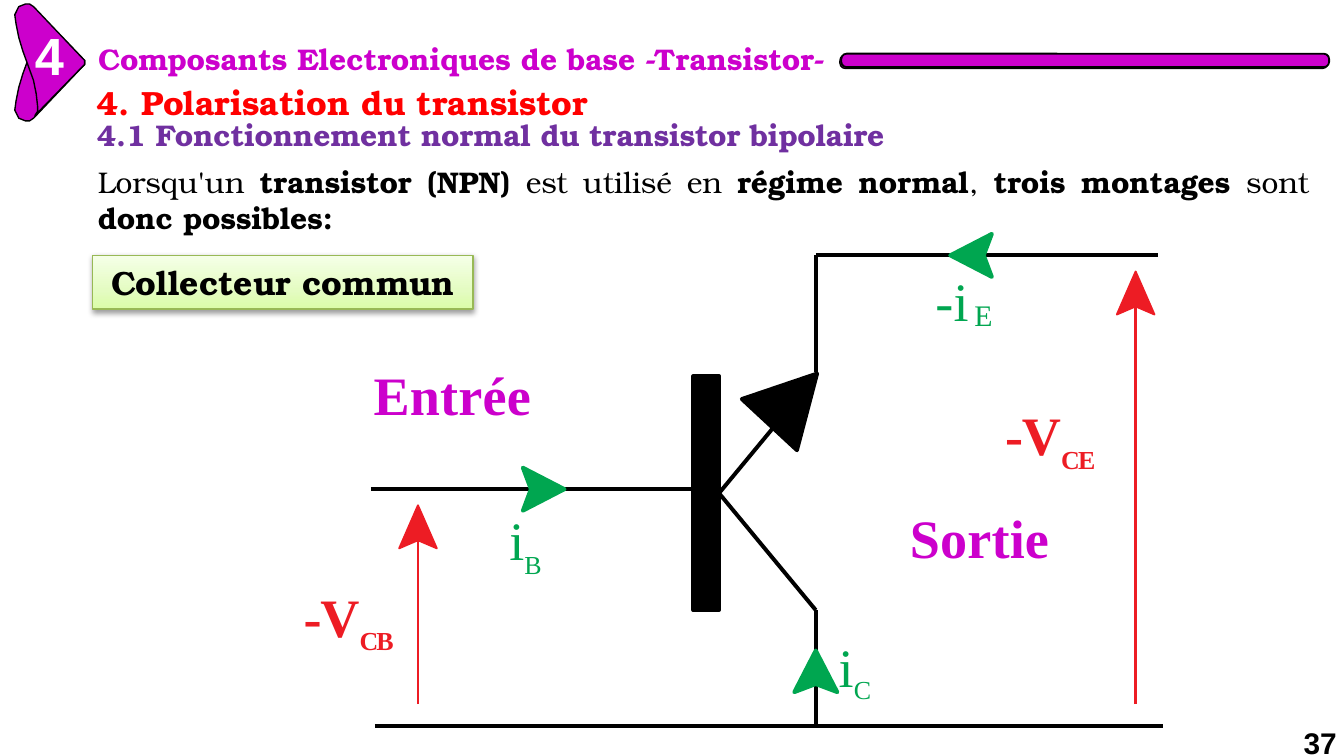
from copy import deepcopy

from lxml import etree
from pptx import Presentation
from pptx.dml.color import RGBColor
from pptx.enum.shapes import MSO_CONNECTOR, MSO_SHAPE
from pptx.enum.text import MSO_ANCHOR, PP_ALIGN
from pptx.oxml.ns import qn
from pptx.util import Inches, Pt

COLORS = {
    "magenta": "CC00CC", "red": "FF0000", "purple": "7030A0", "black": "000000",
    "white": "FFFFFF", "voltage": "ED1C24", "current": "00A650", "border": "98B955",
}
COLORS = {name: RGBColor.from_string(value) for name, value in COLORS.items()}
BONUM, TIMES, ARIAL = "TeX Gyre Bonum", "Times New Roman", "Arial"
WIRE = 2.12

presentation = Presentation()
presentation.slide_width = Inches(10)
presentation.slide_height = Inches(10) * 9 // 16
slide = presentation.slides.add_slide(presentation.slide_layouts[6])
shapes = slide.shapes


def paint(shape, fill, line, width):
    shape.shadow.inherit = False
    shape.fill.solid()
    shape.fill.fore_color.rgb = COLORS[fill]
    shape.line.color.rgb = COLORS[line]
    shape.line.width = Pt(width)


def write(frame, runs, font, color, insets=(0, 0.02), wrap=False):
    """Each run is (text, size, bold, spacing in points, baseline in percent)."""
    frame.word_wrap = wrap
    frame.vertical_anchor = MSO_ANCHOR.TOP
    frame.margin_left = frame.margin_right = Inches(insets[0])
    frame.margin_top = frame.margin_bottom = Inches(insets[1])
    paragraph = frame.paragraphs[0]
    for text, size, bold, spacing, baseline in runs:
        run = paragraph.add_run()
        run.text = text
        run.font.name, run.font.size, run.font.bold = font, Pt(size), bold
        run.font.color.rgb = COLORS[color]
        properties = run.font._element
        properties.set("spc", str(round(spacing * 100)))
        if baseline:
            properties.set("baseline", str(baseline * 1000))
    return paragraph


# Filled outlines as (points, fill, line, line width)
# Chapter marker: a folded ribbon, the back half mirrors the front half
front = [
    (0.19, 0.03), (0.14, 0.05), (0.11, 0.11), (0.12, 0.18), (0.14, 0.28),
    (0.17, 0.38), (0.21, 0.49), (0.25, 0.6), (0.27, 0.7), (0.28, 0.79),
    (0.28, 0.83), (0.26, 0.86), (0.62, 0.49), (0.63, 0.48), (0.63, 0.45),
    (0.62, 0.44), (0.25, 0.05), (0.22, 0.03),
]
back = [(x, 0.93 - y) for x, y in front]
outlines = [(back, "magenta", "black", 0.75), (front, "magenta", "black", 0.75)]

# Emitter triangle
outlines.append(([(6.08, 2.78), (5.52, 2.97), (5.93, 3.35)], "black", "black", WIRE))

# Barbed arrowheads: tip, pointing direction, length, half width, colour, line width
arrowheads = [
    (3.11, 3.76, 0, -1, 0.32, 0.14, "voltage", 1),
    (8.45, 2.02, 0, -1, 0.32, 0.14, "voltage", 1),
    (4.2, 3.64, 1, 0, 0.31, 0.16, "current", WIRE),
    (7.07, 1.9, -1, 0, 0.31, 0.16, "current", WIRE),
    (6.07, 4.84, 0, -1, 0.31, 0.16, "current", WIRE),
]
for x, y, dx, dy, length, half, color, width in arrowheads:
    offsets = [(0, 0), (length, half), (length - 0.06, 0), (length, -half)]
    points = [(x - dx * along - dy * side, y - dy * along + dx * side)
              for along, side in offsets]
    outlines.append((points, color, color, width))

# Wires and voltage shafts
wires = [
    (2.76, 3.64, 5.17, 3.64, "black", WIRE),    # base
    (6.07, 2.77, 6.07, 1.9, "black", WIRE),     # emitter
    (6.07, 1.9, 8.62, 1.9, "black", WIRE),
    (5.35, 3.67, 6.07, 2.8, "black", WIRE),
    (5.35, 3.67, 6.07, 4.54, "black", WIRE),    # collector
    (6.07, 4.54, 6.07, 5.4, "black", WIRE),
    (2.79, 5.4, 8.65, 5.4, "black", WIRE),      # common line
    (3.11, 5.24, 3.11, 3.77, "voltage", 1.25),
    (8.45, 5.24, 8.45, 2.03, "voltage", 1.25),
]
for x1, y1, x2, y2, color, width in wires:
    wire = shapes.add_connector(MSO_CONNECTOR.STRAIGHT, *map(Inches, (x1, y1, x2, y2)))
    wire.line.color.rgb = COLORS[color]
    wire.line.width = Pt(width)
    etree.SubElement(wire._element.spPr, qn("a:effectLst"))

# Transistor base plate
plate = shapes.add_shape(MSO_SHAPE.RECTANGLE, Inches(5.16), Inches(2.8), Inches(0.19), Inches(1.74))
paint(plate, "black", "black", WIRE)

for points, fill, line, width in outlines:
    corners = [(Inches(x), Inches(y)) for x, y in points]
    builder = shapes.build_freeform(*corners[0])
    builder.add_line_segments(corners[1:], close=True)
    paint(builder.convert_to_shape(), fill, line, width)

# Title bar
for left, top, width in ((6.25, 0.41, 0.75), (6.26, 0.4, 1)):
    bar = shapes.add_shape(MSO_SHAPE.ROUNDED_RECTANGLE, Inches(left), Inches(top),
                           Inches(3.63), Inches(0.1))
    bar.adjustments[0] = 0.4
    paint(bar, "magenta", "black", width)

# Headings, body text and page number
headings = [
    ((0.73, 0.29, 5.7, 0.3), [("Composants Electroniques de base -Transistor-", 16, True, 0, 0)],
     BONUM, "magenta", (0, 0.01)),
    ((0.26, 0.16, 0.24, 0.49), [("4", 28, True, 0, 0)], ARIAL, "white", (0, 0.01)),
    ((0.62, 0.56, 7.65, 0.4), [("4. Polarisation ", 18, True, -0.05, 0),
                               ("du transistor", 18, True, 0, 0)], BONUM, "red", (0.1, 0.05)),
    ((0.62, 0.82, 6.14, 0.4),
     [("4.1 Fonctionnement normal du transistor bipolaire", 16, True, -0.05, 0)],
     BONUM, "purple", (0.1, 0.05)),
]
for box, runs, font, color, insets in headings:
    textbox = shapes.add_textbox(*map(Inches, box))
    write(textbox.text_frame, runs, font, color, insets)

body_runs = [
    ("Lorsqu'un ", False), ("transistor (NPN) ", True), ("est utilisé en ", False),
    ("régime normal", True), (", ", False), ("trois montages ", True),
    ("sont ", False), ("donc possibles:", True),
]
body = shapes.add_textbox(Inches(0.63), Inches(1.17), Inches(9.21), Inches(0.64))
paragraph = write(body.text_frame, [(text, 16, bold, 0, 0) for text, bold in body_runs],
                  BONUM, "black", (0.1, 0.05), wrap=True)
paragraph.alignment = PP_ALIGN.JUSTIFY

number = shapes.add_textbox(Inches(9.7), Inches(5.32), Inches(0.3), Inches(0.3))
paragraph = write(number.text_frame, [("37", 16, True, 0, 0)], ARIAL, "black", (0, 0))
paragraph.line_spacing = Pt(24.3)

# Label with a three-stop gradient and a soft shadow
label = shapes.add_shape(MSO_SHAPE.RECTANGLE, Inches(0.69), Inches(1.9), Inches(2.83), Inches(0.4))
paint(label, "white", "border", 0.75)
label.fill.gradient()
label.fill.gradient_angle = 90
stop_list = label._element.spPr.find(".//" + qn("a:gsLst"))
stop_list.insert(1, deepcopy(stop_list[0]))
gradient = [(0, "DAFDA7"), (0.35, "E4FCC2"), (1, "F5FFE7")]
for stop, (position, value) in zip(label.fill.gradient_stops, gradient):
    stop.position = position
    stop.color.rgb = RGBColor.from_string(value)
effects = label._element.spPr.find(qn("a:effectLst"))
shadow = etree.SubElement(effects, qn("a:outerShdw"), blurRad=str(Pt(3.1)), dist=str(Pt(1.6)),
                          dir="5400000", rotWithShape="0")
shadow_color = etree.SubElement(shadow, qn("a:srgbClr"), val="000000")
etree.SubElement(shadow_color, qn("a:alpha"), val="38000")
paragraph = write(label.text_frame, [("Collecteur commun", 18, True, 0, 0)],
                  BONUM, "black", (0.1, 0.05))
paragraph.alignment = PP_ALIGN.CENTER

# Circuit labels
circuit_labels = [
    (6.77, 3.73, 1.33, "magenta", [("Sortie", 29, True, 0.1, 0)]),
    (2.78, 2.67, 1.37, "magenta", [("Entrée", 29, True, 0.1, 0)]),
    (2.26, 4.32, 0.74, "voltage", [("-V", 29, True, -0.7, 0), ("CB", 24, True, -1, -30)]),
    (7.48, 2.97, 0.8, "voltage", [("-V", 29, True, -0.7, 0), ("CE", 24, True, -1, -30)]),
    (3.79, 3.75, 0.38, "current", [("i", 29, False, -0.3, 0), ("B", 24, False, -0.5, -30)]),
    (6.24, 4.69, 0.28, "current", [("i", 29, False, -0.3, 0), ("C", 24, False, -0.5, -28)]),
    (6.96, 1.97, 0.3, "current", [("-i", 29, False, 0.1, 0)]),
    (7.25, 2.19, 0.13, "current", [("E", 16, False, 0.2, 0)]),
]
for left, top, width, color, runs in circuit_labels:
    textbox = shapes.add_textbox(Inches(left), Inches(top), Inches(width), Inches(0.5))
    write(textbox.text_frame, runs, TIMES, color)

presentation.save("out.pptx")
